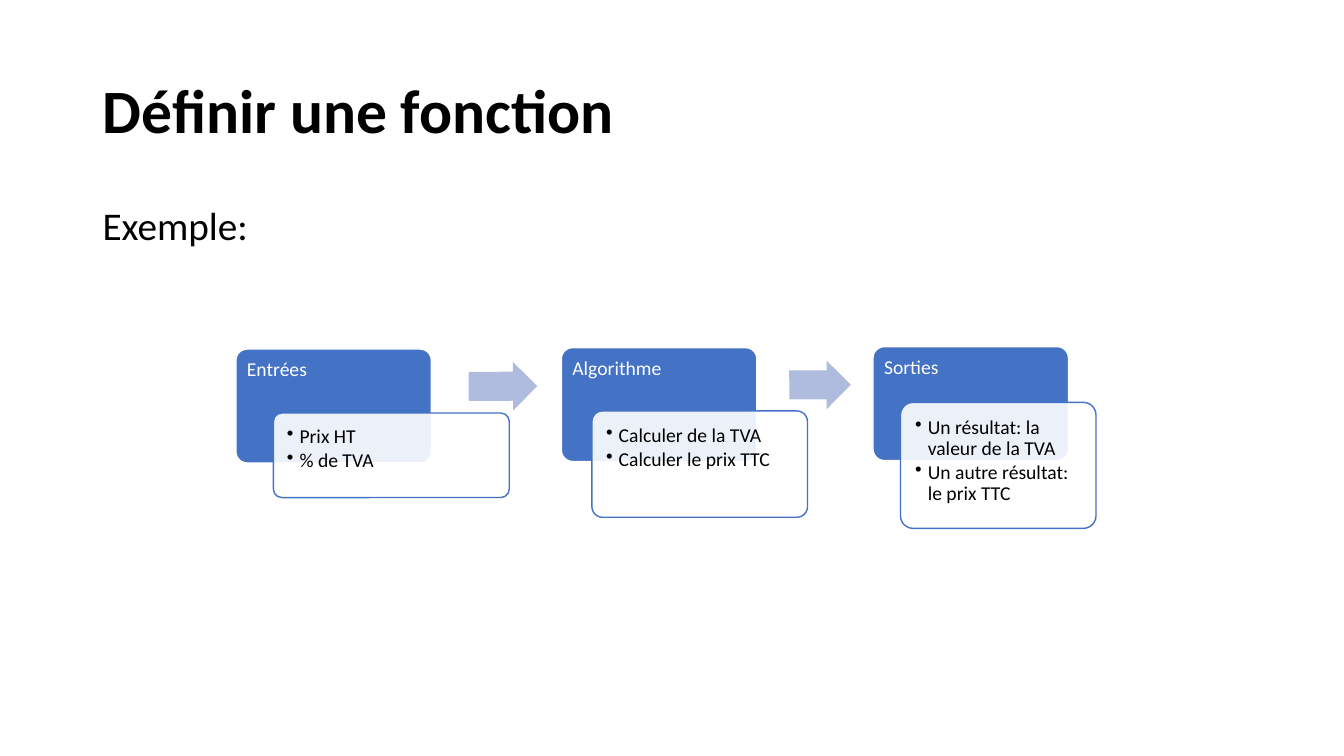
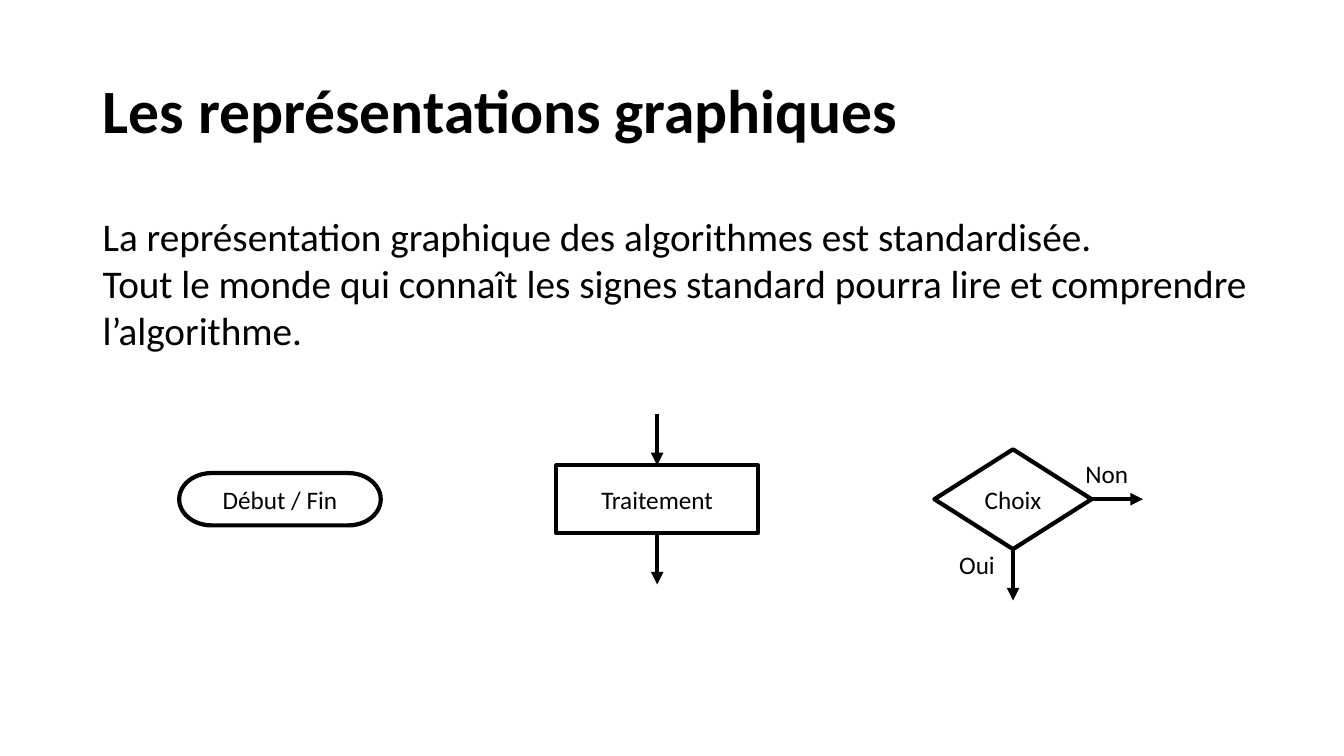
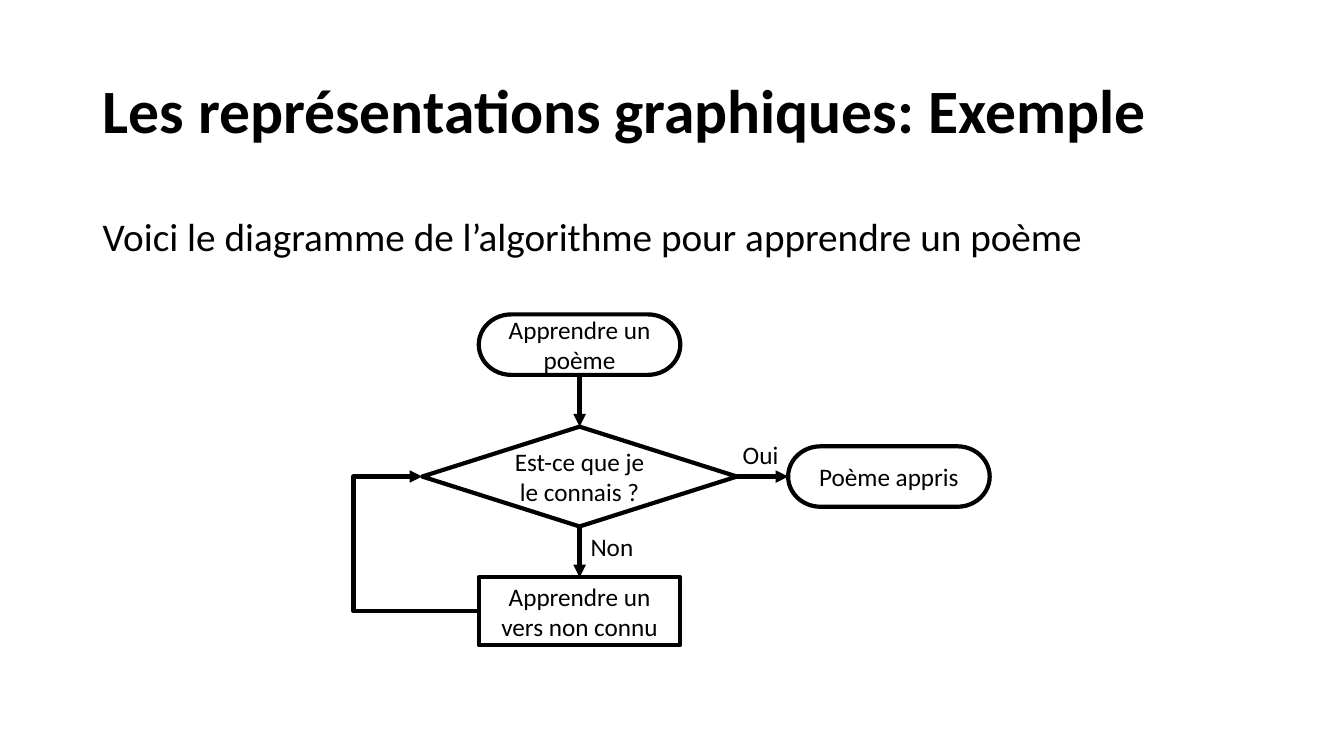
"""Three course slides on functions and flowchart symbols."""
from typing import NamedTuple

from lxml.etree import SubElement
from pptx import Presentation
from pptx.dml.color import RGBColor
from pptx.enum.shapes import MSO_CONNECTOR, MSO_SHAPE
from pptx.enum.text import MSO_ANCHOR, PP_ALIGN
from pptx.oxml.ns import qn
from pptx.util import Pt

TOP, LEFT, BOTTOM, RIGHT = range(4)
TERMINATOR = MSO_SHAPE.FLOWCHART_TERMINATOR
PROCESS = MSO_SHAPE.FLOWCHART_PROCESS
DECISION = MSO_SHAPE.FLOWCHART_DECISION


def color(value):
    return RGBColor.from_string(value)


class Joint(NamedTuple):
    node: object
    side: int

    def point(self, dx=0, dy=0):
        node = self.node
        across, down = {TOP: (0.5, 0), LEFT: (0, 0.5), BOTTOM: (0.5, 1), RIGHT: (1, 0.5)}[self.side]
        return (node.left.pt + across * node.width.pt + dx,
                node.top.pt + down * node.height.pt + dy)


class Deck:
    FONT = "Calibri"
    BLACK, WHITE, BLUE, PALE = "000000", "FFFFFF", "4472C4", "B0BCDE"
    MARGIN = 66.24

    def __init__(self):
        self.presentation = Presentation()
        self.presentation.slide_width = Pt(960)
        self.presentation.slide_height = Pt(540)
        self.slide = None

    def new_slide(self, title):
        layout = self.presentation.slide_layouts[6]
        self.slide = self.presentation.slides.add_slide(layout)
        self.text([title], self.MARGIN, 28.8, 828, 104.4, 44, bold=True,
                  spacing=0.9, anchor=MSO_ANCHOR.MIDDLE)

    def set_lines(self, frame, lines, size, ink=BLACK, bold=False, align=PP_ALIGN.LEFT,
                  spacing=1.0, anchor=MSO_ANCHOR.TOP, inset=None, bullets=False):
        frame.word_wrap = True
        frame.vertical_anchor = anchor
        if inset is not None:
            frame.margin_left = frame.margin_right = Pt(inset)
            frame.margin_top = frame.margin_bottom = Pt(inset)
        for index, line in enumerate(lines):
            paragraph = frame.add_paragraph() if index else frame.paragraphs[0]
            paragraph.text = line
            paragraph.alignment = align
            paragraph.line_spacing = spacing
            paragraph.font.name = self.FONT
            paragraph.font.size = Pt(size)
            paragraph.font.bold = bold
            paragraph.font.color.rgb = color(ink)
            if bullets:
                paragraph.space_after = Pt(2)
                properties = paragraph._p.get_or_add_pPr()
                properties.set("marL", str(Pt(9)))
                properties.set("indent", str(-Pt(9)))
                bullet = properties.makeelement(qn("a:buChar"), {"char": "•"})
                properties.find(qn("a:defRPr")).addprevious(bullet)

    def text(self, lines, x, y, width, height, size, **style):
        box = self.slide.shapes.add_textbox(Pt(x), Pt(y), Pt(width), Pt(height))
        self.set_lines(box.text_frame, lines, size, **style)

    def label(self, word, x, y):
        self.text([word], x, y, 48, 28.8, 18)

    def intro(self, *lines):
        self.text(lines, self.MARGIN, 148.3, 849, 41, 28)

    def shape(self, kind, x, y, width, height, fill, line=None, weight=1):
        shape = self.slide.shapes.add_shape(kind, Pt(x), Pt(y), Pt(width), Pt(height))
        shape.shadow.inherit = False
        shape.fill.solid()
        shape.fill.fore_color.rgb = color(fill)
        if line:
            shape.line.color.rgb = color(line)
            shape.line.width = Pt(weight)
        else:
            shape.line.fill.background()
        return shape

    def stage(self, name, x, y, items, body):
        rounded = MSO_SHAPE.ROUNDED_RECTANGLE
        header = self.shape(rounded, x, y, 139.7, 81.4, self.BLUE, self.WHITE)
        card = self.shape(rounded, *body, self.WHITE, self.BLUE)
        header.adjustments[0] = card.adjustments[0] = 0.1
        tint = card._element.spPr.find(qn("a:solidFill"))[0]
        SubElement(tint, qn("a:alpha"), val="90000")
        self.set_lines(header.text_frame, [name], 14, self.WHITE, spacing=0.9, inset=5.5)
        self.set_lines(card.text_frame, items, 14, spacing=0.9, inset=7.9, bullets=True)

    def block_arrow(self, x, y, width):
        arrow = self.shape(MSO_SHAPE.RIGHT_ARROW, x, y, width, 34.6, self.PALE)
        arrow.adjustments[0] = 0.6
        arrow.rotation = 359.75

    def node(self, kind, caption, center_x, center_y, width, height):
        node = self.shape(kind, center_x - width / 2, center_y - height / 2,
                          width, height, self.WHITE, self.BLACK, 3)
        self.set_lines(node.text_frame, [caption], 18, align=PP_ALIGN.CENTER,
                       anchor=MSO_ANCHOR.MIDDLE)
        return node

    def connector(self, kind, start, end):
        link = self.slide.shapes.add_connector(kind, *map(Pt, start + end))
        link.line.color.rgb = color(self.BLACK)
        link.line.width = Pt(3)
        properties = link._element.spPr
        SubElement(properties.find(qn("a:ln")), qn("a:tailEnd"), type="triangle")
        SubElement(properties, qn("a:effectLst"))
        return link

    def arrow(self, start, end):
        points = [stop.point() if isinstance(stop, Joint) else stop for stop in (start, end)]
        link = self.connector(MSO_CONNECTOR.STRAIGHT, *points)
        if isinstance(start, Joint):
            link.begin_connect(*start)
        if isinstance(end, Joint):
            link.end_connect(*end)

    def loop(self, start, end, turn_x):
        link = self.connector(MSO_CONNECTOR.ELBOW, start, end)
        bend = round((turn_x - start[0]) / (end[0] - start[0]) * 100000)
        guides = link._element.spPr.find(qn("a:prstGeom")).get_or_add_avLst()
        SubElement(guides, qn("a:gd"), name="adj1", fmla=f"val {bend}")


def function_slide(deck):
    deck.new_slide("Définir une fonction")
    deck.text(["Exemple:"], deck.MARGIN, 144, 828, 342.7, 28,
              spacing=0.9, align=PP_ALIGN.JUSTIFY)
    deck.stage("Entrées", 168.5, 249.3, ["Prix HT", "% de TVA"],
               (195.3, 295, 168.5, 60.4))
    deck.block_arrow(334.8, 258.6, 49)
    deck.stage("Algorithme", 401, 248.3, ["Calculer de la TVA", "Calculer le prix TTC"],
               (422.8, 293.5, 154, 76))
    deck.block_arrow(563.8, 257.6, 44)
    deck.stage("Sorties", 623.6, 247.6,
               ["Un résultat: la valeur de la TVA", "Un autre résultat: le prix TTC"],
               (643.2, 287.4, 139.7, 90))


def symbols_slide(deck):
    deck.new_slide("Les représentations graphiques")
    deck.intro("La représentation graphique des algorithmes est standardisée.",
               "Tout le monde qui connaît les signes standard pourra lire et "
               "comprendre l’algorithme.")
    row, reach = 356.6, 36.7
    deck.node(TERMINATOR, "Début / Fin", 200, row, 144, 37.4)
    process = deck.node(PROCESS, "Traitement", 469.4, row, 144, 48.4)
    choice = deck.node(DECISION, "Choix", 723.6, row, 112.3, 71.3)
    entry = Joint(process, TOP)
    deck.arrow(entry.point(dy=-reach), entry)
    for node, side, dx, dy in ((process, BOTTOM, 0, reach), (choice, BOTTOM, 0, reach),
                               (choice, RIGHT, reach, 0)):
        way_out = Joint(node, side)
        deck.arrow(way_out, way_out.point(dx, dy))
    deck.label("Non", 768.2, 324)
    deck.label("Oui", 678, 388.8)


def poem_slide(deck):
    deck.new_slide("Les représentations graphiques: Exemple")
    deck.intro("Voici le diagramme de l’algorithme pour apprendre un poème")
    axis, row = 414, 340.4
    begin = deck.node(TERMINATOR, "Apprendre un poème", axis, 246.2, 144, 43.2)
    verse = deck.node(PROCESS, "Apprendre un vers non connu", axis, 436.6, 144, 48.4)
    known = deck.node(DECISION, "Est-ce que je le connais ?", axis, row, 224.8, 71.3)
    learned = deck.node(TERMINATOR, "Poème appris", 635, row, 144, 43.2)
    deck.arrow(Joint(begin, BOTTOM), Joint(known, TOP))
    deck.arrow(Joint(known, BOTTOM), Joint(verse, TOP))
    deck.arrow(Joint(known, RIGHT), Joint(learned, LEFT))
    deck.loop(Joint(verse, LEFT).point(), Joint(known, LEFT).point(), 252.5)
    deck.label("Non", 414.7, 375.8)
    deck.label("Oui", 523.4, 310.3)


def main():
    deck = Deck()
    function_slide(deck)
    symbols_slide(deck)
    poem_slide(deck)
    deck.presentation.save("out.pptx")


if __name__ == "__main__":
    main()
